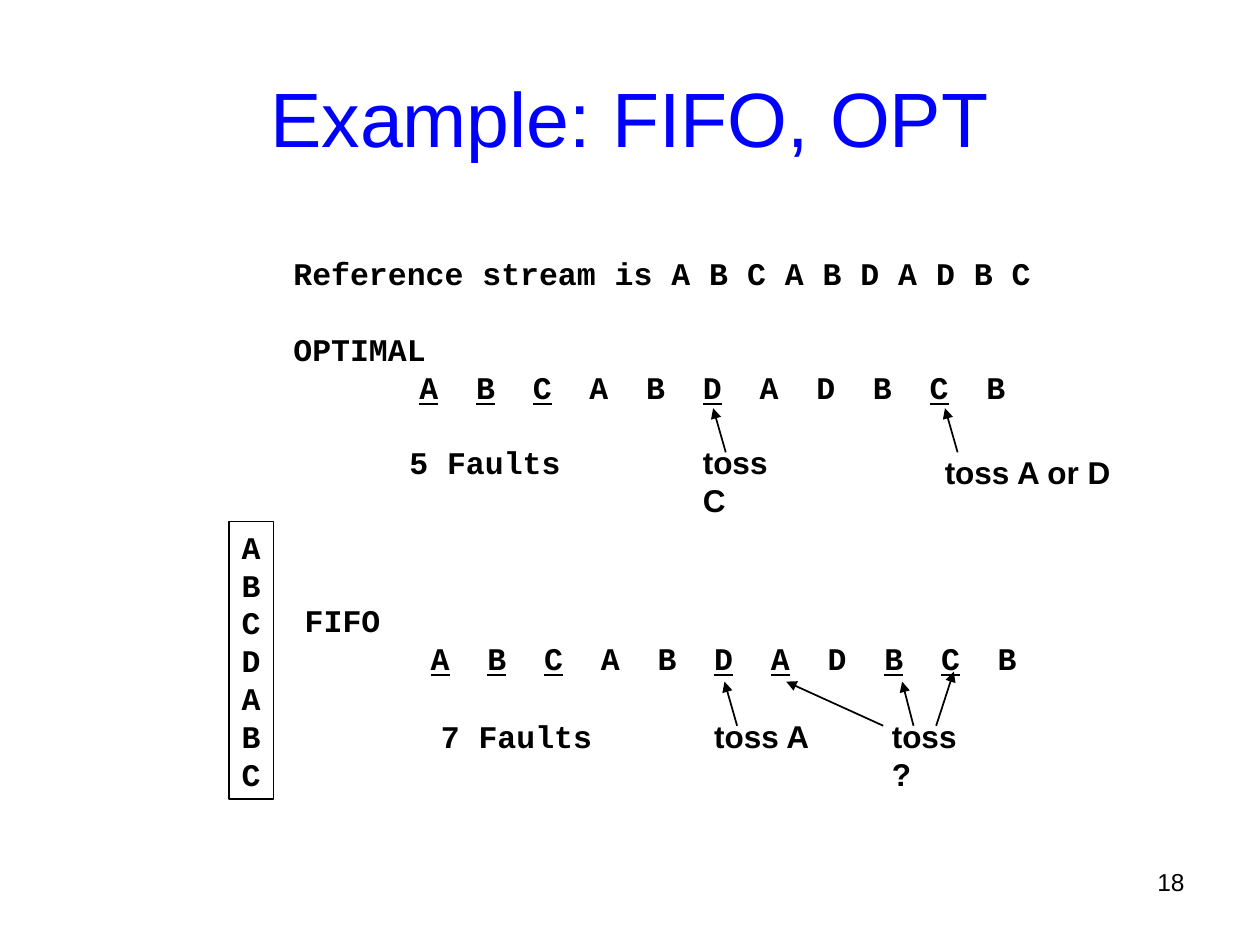
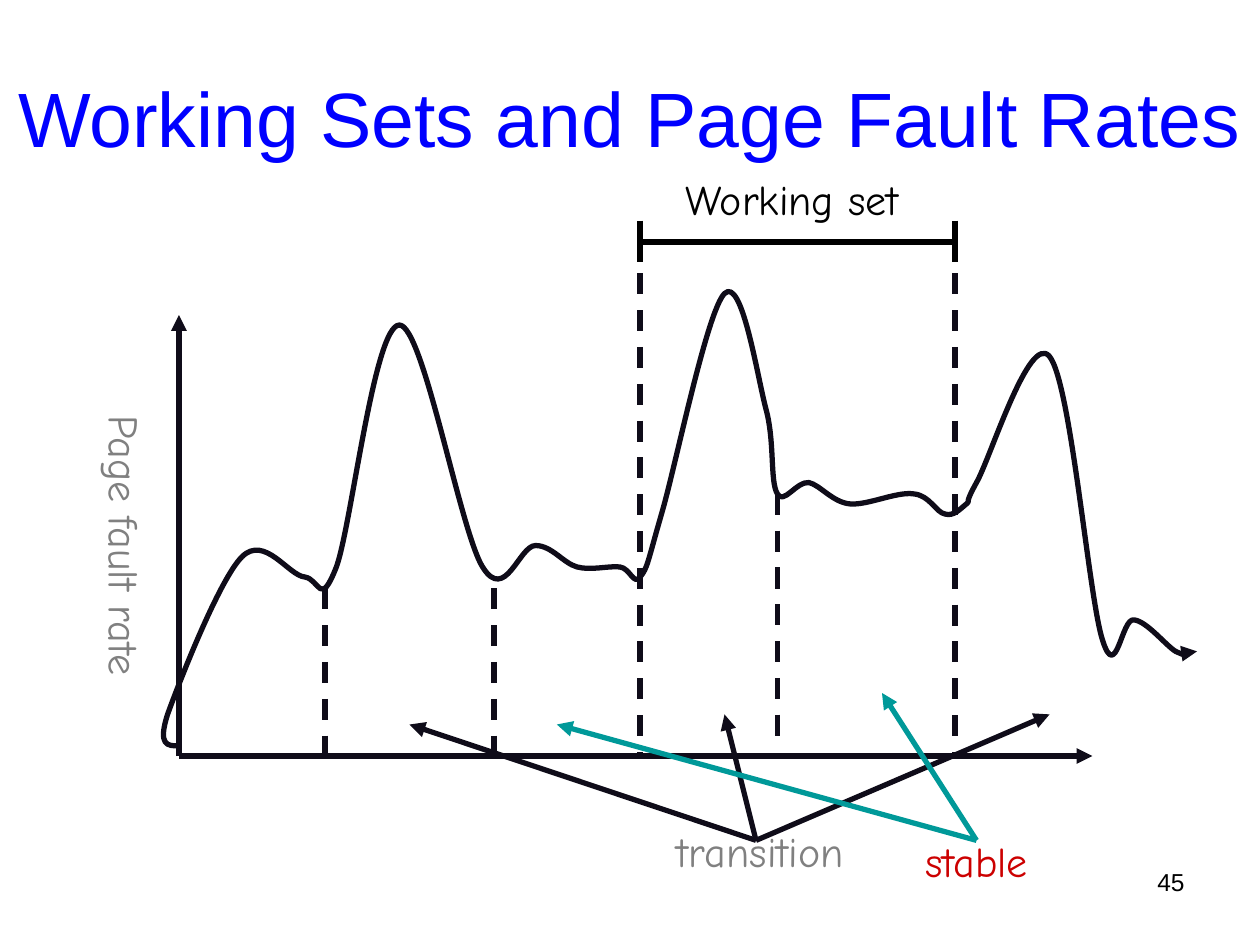
from pptx import Presentation
from pptx.dml.color import RGBColor
from pptx.enum.dml import MSO_LINE
from pptx.enum.shapes import MSO_CONNECTOR, MSO_SHAPE
from pptx.enum.text import MSO_ANCHOR, PP_ALIGN
from pptx.oxml.ns import qn
from pptx.oxml.xmlchemy import OxmlElement
from pptx.util import Inches, Pt

BLACK = RGBColor(0x00, 0x00, 0x00)
BLUE = RGBColor(0x00, 0x00, 0xFF)
INK = RGBColor(0x0F, 0x0C, 0x19)
GREY = RGBColor(0x80, 0x80, 0x80)
TEAL = RGBColor(0x00, 0x99, 0x99)
RED = RGBColor(0xCC, 0x00, 0x00)
SANS, MONO, HAND = "Arial", "Courier New", "Comic Neue"
LINE_PITCH = 21.6
FIRST_STOP, STOP_GAP = 1, 0.45

STREAM = "ABCABDADBCB"
OPTIMAL_FAULTS = {0, 1, 2, 5, 9}
FIFO_FAULTS = {0, 1, 2, 5, 6, 8, 9}
FIFO_QUEUE = list("ABCDABC")
FAULT_COUNTS = [
    ("5 Faults", (3.15, 3.47, 1.4, 0.7)),
    ("7 Faults", (3.4, 5.64, 1.4, 0.7)),
]
TOSSES = [
    ("toss A or D", (7.4, 3.55, 1.53, 0.4)),
    ("toss C", (5.48, 3.47, 0.96, 0.4)),
    ("toss A", (5.57, 5.64, 0.96, 0.4)),
    ("toss ?", (6.98, 5.64, 0.93, 0.4)),
]
TOSS_ARROWS = [
    ((5.76, 3.59), (5.66, 3.24)),
    ((7.6, 3.59), (7.5, 3.24)),
    ((5.85, 5.76), (5.75, 5.41)),
    ((7.25, 5.76), (7.16, 5.41)),
    ((7.43, 5.76), (7.57, 5.33)),
    ((7.01, 5.76), (6.24, 5.41)),
]

ORIGIN = (1.42, 6)
AXIS_ENDS = [(1.42, 2.5), (8.67, 6)]
RATE_START = (1.42, 5.92)
RATE_CURVES = [
    [(1.33, 5.92), (1.25, 5.92), (1.33, 5.67)],
    [(1.42, 5.42), (1.74, 4.6), (1.92, 4.42)],
    [(2.1, 4.24), (2.29, 4.57), (2.42, 4.58)],
    [(2.54, 4.6), (2.54, 4.83), (2.67, 4.5)],
    [(2.79, 4.17), (2.97, 2.58), (3.17, 2.58)],
    [(3.36, 2.58), (3.65, 4.21), (3.83, 4.5)],
    [(4.01, 4.79), (4.12, 4.33), (4.25, 4.33)],
    [(4.38, 4.33), (4.47, 4.47), (4.58, 4.5)],
    [(4.69, 4.53), (4.83, 4.49), (4.92, 4.5)],
    [(5, 4.51), (5.03, 4.65), (5.08, 4.58)],
    [(5.14, 4.51), (5.14, 4.46), (5.25, 4.08)],
    [(5.36, 3.71), (5.61, 2.47), (5.75, 2.33)],
    [(5.89, 2.19), (6.01, 2.99), (6.08, 3.25)],
    [(6.15, 3.51), (6.11, 3.82), (6.17, 3.92)],
    [(6.22, 4.01), (6.32, 3.82), (6.42, 3.83)],
    [(6.51, 3.85), (6.61, 3.99), (6.75, 4)],
    [(6.89, 4.01), (7.12, 3.9), (7.25, 3.92)],
    [(7.38, 3.93), (7.43, 4.07), (7.5, 4.08)],
    [(7.57, 4.1), (7.62, 4.04), (7.67, 4)],
    [(7.71, 3.96), (7.64, 4.03), (7.75, 3.83)],
    [(7.86, 3.64), (8.17, 2.63), (8.33, 2.83)],
    [(8.5, 3.04), (8.64, 4.74), (8.75, 5.08)],
    [(8.86, 5.43), (8.9, 4.9), (9, 4.92)],
    [(9.1, 4.93), (9.25, 5.12), (9.33, 5.17)],
    [(9.42, 5.21), (9.46, 5.19), (9.5, 5.17)],
]
PHASE_MARKS = [(2.58, 4.67, 6), (3.92, 4.67, 6), (5.08, 2.17, 6),
               (6.17, 3.92, 5.92), (7.58, 2.17, 6)]
SET_START, SET_END = 5.08, 7.58
HAND_LABELS = [
    ("Page fault rate", (-0.15, 4.08, 2.29, 0.5), GREY, 90),
    ("transition", (5.27, 6.5, 1.53, 0.5), GREY, 0),
    ("Working set", (5.33, 1.33, 1.91, 0.5), BLACK, 0),
    ("stable", (7.24, 6.58, 1.02, 0.5), RED, 0),
]
PHASE_POINTERS = [
    ((6, 6.67), INK, [(3.25, 5.75), (5.75, 5.67), (8.33, 5.67)]),
    ((7.75, 6.67), TEAL, [(4.42, 5.75), (7, 5.5)]),
]


def add_text(slide, paragraphs, box, size=18, font=SANS, color=BLACK, bold=False,
             align=PP_ALIGN.LEFT, anchor=MSO_ANCHOR.TOP, wrap=False, pitch=None,
             gaps=None, stops=(), rotation=0, outlined=False):
    place = [Inches(v) for v in box]
    if outlined:
        holder = slide.shapes.add_shape(MSO_SHAPE.RECTANGLE, *place)
        holder.shadow.inherit = False
        holder.fill.background()
        holder.line.color.rgb = BLACK
        holder.line.width = Pt(1)
    else:
        holder = slide.shapes.add_textbox(*place)
    holder.rotation = rotation
    frame = holder.text_frame
    frame.word_wrap = wrap
    frame.vertical_anchor = anchor
    for i, content in enumerate(paragraphs):
        paragraph = frame.paragraphs[0] if i == 0 else frame.add_paragraph()
        paragraph.alignment = align
        if pitch:
            paragraph.line_spacing = Pt(pitch)
        if gaps and i in gaps:
            paragraph.space_before = Pt(gaps[i])
        runs = [(content, False)] if isinstance(content, str) else content
        if stops and runs[0][0] == "\t":
            tabs = OxmlElement("a:tabLst")
            for stop in stops:
                tab = OxmlElement("a:tab")
                tab.set("pos", str(Inches(stop)))
                tab.set("algn", "l")
                tabs.append(tab)
            paragraph._p.get_or_add_pPr().append(tabs)
        for words, underlined in runs:
            run = paragraph.add_run()
            run.text = words
            run.font.size = Pt(size)
            run.font.name = font
            run.font.bold = bold
            run.font.underline = underlined
            run.font.color.rgb = color


def style_line(line, color, width, arrow=False, dashed=False):
    line.color.rgb = color
    line.width = Pt(width)
    if dashed:
        line.dash_style = MSO_LINE.DASH
    if arrow:
        tail = OxmlElement("a:tailEnd")
        tail.set("type", "triangle")
        line._get_or_add_ln().append(tail)


def add_line(slide, start, end, color=INK, width=3, **look):
    connector = slide.shapes.add_connector(
        MSO_CONNECTOR.STRAIGHT, *[Inches(v) for v in (*start, *end)])
    style_line(connector.line, color, width, **look)
    connector._element.spPr.append(OxmlElement("a:effectLst"))


def add_rate_curve(slide):
    points = [(Inches(x), Inches(y)) for curve in RATE_CURVES for x, y in curve]
    builder = slide.shapes.build_freeform(*[Inches(v) for v in RATE_START])
    builder.add_line_segments(points, close=False)
    rate = builder.convert_to_shape()
    rate.shadow.inherit = False
    rate.fill.background()
    style_line(rate.line, INK, 3, arrow=True)
    outline = next(rate._element.iter(qn("a:path")))
    segments = outline.findall(qn("a:lnTo"))
    for i in range(0, len(segments), 3):
        bezier = OxmlElement("a:cubicBezTo")
        for segment in segments[i:i + 3]:
            bezier.append(segment[0])
            outline.remove(segment)
        outline.append(bezier)


def stream_runs(faults):
    runs = []
    for i, page in enumerate(STREAM):
        runs += [("\t", False), (page, i in faults)]
    return runs


def start_slide(deck, title, number, left=0.5):
    slide = deck.slides.add_slide(deck.slide_layouts[6])
    add_text(slide, [title], (left, 0.3, 10 - 2 * left, 1.25), size=44, color=BLUE,
             align=PP_ALIGN.CENTER, anchor=MSO_ANCHOR.MIDDLE, wrap=True)
    add_text(slide, [number], (7.17, 6.83, 2.33, 0.52), size=14,
             align=PP_ALIGN.RIGHT, wrap=True)
    return slide


def build_replacement(deck):
    slide = start_slide(deck, "Example: FIFO, OPT", "18")
    code = dict(font=MONO, bold=True, pitch=LINE_PITCH,
                stops=[FIRST_STOP + STOP_GAP * i for i in range(len(STREAM))])
    add_text(slide, ["Reference stream is A B C A B D A D B C", "OPTIMAL",
                     stream_runs(OPTIMAL_FAULTS)],
             (2.23, 1.97, 6.05, 1.3), gaps={1: LINE_PITCH}, **code)
    add_text(slide, ["FIFO", stream_runs(FIFO_FAULTS)], (2.32, 4.72, 5.85, 0.7), **code)
    add_text(slide, FIFO_QUEUE, (1.82, 4.14, 0.35, 2.2), outlined=True, **code)
    for count, box in FAULT_COUNTS:
        add_text(slide, [count], box, **code)
    for toss, box in TOSSES:
        add_text(slide, [toss], box, bold=True, pitch=LINE_PITCH)
    for start, end in TOSS_ARROWS:
        add_line(slide, start, end, color=BLACK, width=1, arrow=True)


def build_working_sets(deck):
    slide = start_slide(deck, "Working Sets and Page Fault Rates", "45", left=0)
    for end in AXIS_ENDS:
        add_line(slide, ORIGIN, end, arrow=True)
    add_rate_curve(slide)
    for x, top, bottom in PHASE_MARKS:
        add_line(slide, (x, top), (x, bottom), dashed=True)
    add_line(slide, (SET_START, 1.92), (SET_END, 1.92), color=BLACK)
    for x in (SET_START, SET_END):
        add_line(slide, (x, 1.75), (x, 2.08), color=BLACK)
    for start, color, ends in PHASE_POINTERS:
        for end in ends:
            add_line(slide, start, end, color=color, arrow=True)
    for label, box, color, rotation in HAND_LABELS:
        add_text(slide, [label], box, size=24, font=HAND, color=color, rotation=rotation,
                 align=PP_ALIGN.CENTER, anchor=MSO_ANCHOR.MIDDLE)


def main():
    deck = Presentation()
    deck.slide_width, deck.slide_height = Inches(10), Inches(7.5)
    build_replacement(deck)
    build_working_sets(deck)
    deck.save("out.pptx")


if __name__ == "__main__":
    main()
